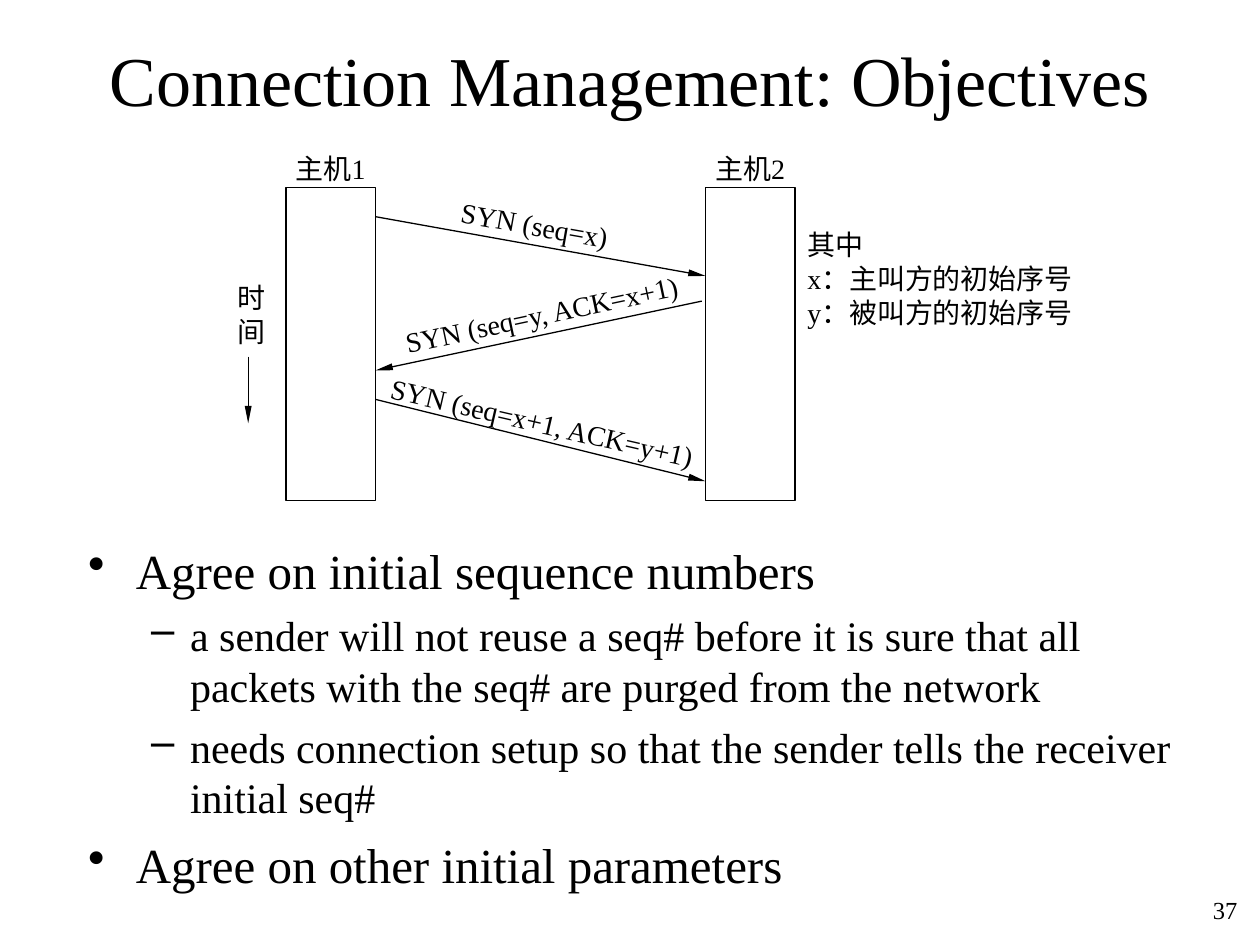
from lxml.etree import SubElement
from pptx import Presentation
from pptx.dml.color import RGBColor
from pptx.enum.shapes import MSO_CONNECTOR, MSO_SHAPE
from pptx.enum.text import MSO_ANCHOR, PP_ALIGN
from pptx.oxml.ns import qn
from pptx.util import Inches, Pt

FONT = "Times New Roman"
BLACK = "000000"
HOST_TOP, HOST_WIDTH, HOST_HEIGHT = 1.49, 0.71, 2.48
HOST_LEFTS = {"主机1": 2.27, "主机2": 5.6}
LABEL_WIDTH = 1.16
LEFT_EDGE = HOST_LEFTS["主机1"] + HOST_WIDTH
RIGHT_EDGE = HOST_LEFTS["主机2"]

# start, end
ARROWS = [
    ((LEFT_EDGE, 1.72), (RIGHT_EDGE, 2.19)),
    ((5.57, 2.39), (LEFT_EDGE, 2.94)),
    ((LEFT_EDGE, 3.17), (RIGHT_EDGE, 3.82)),
    ((1.97, 2.83), (1.97, 3.36)),
]
# text, box, rotation
MESSAGES = [
    ("SYN (seq=x)", (3.19, 1.6, 2.11, 0.34), 10),
    ("SYN (seq=y, ACK=x+1)", (2.92, 2.31, 2.75, 0.34), 348),
    ("SYN (seq=x+1, ACK=y+1)", (2.86, 3.17, 2.89, 0.34), 13),
]
LEGEND = ["其中", "x：主叫方的初始序号", "y：被叫方的初始序号"]
# level, text
OBJECTIVES = [
    (0, "Agree on initial sequence numbers"),
    (1, "a sender will not reuse a seq# before it is sure that all "
        "packets with the seq# are purged from the network"),
    (1, "needs connection setup so that the sender tells the receiver initial seq#"),
    (0, "Agree on other initial parameters"),
]
LEVELS = [
    {"bullet": "•", "margin": 0.38, "indent": -0.38, "size": 28, "before": 7},
    {"bullet": "–", "margin": 0.81, "indent": -0.31, "size": 24, "before": 6},
]


def color(value):
    return RGBColor.from_string(value)


def format_paragraph(paragraph, size, align):
    paragraph.alignment = align
    for name, value in {"name": FONT, "size": Pt(size)}.items():
        setattr(paragraph.font, name, value)
    paragraph.font.color.rgb = color(BLACK)


def set_title(slide, text, box):
    title = slide.shapes.title
    for name, value in zip(("left", "top", "width", "height"), box):
        setattr(title, name, Inches(value))
    title.text_frame.text = text
    title.text_frame.vertical_anchor = MSO_ANCHOR.MIDDLE
    format_paragraph(title.text_frame.paragraphs[0], 40, PP_ALIGN.CENTER)


def add_text(slide, lines, box, size=16, align=PP_ALIGN.CENTER, rotation=0):
    shape = slide.shapes.add_textbox(*map(Inches, box))
    shape.rotation = rotation
    frame = shape.text_frame
    frame.word_wrap = True
    frame.text = "\n".join(lines)
    for paragraph in frame.paragraphs:
        format_paragraph(paragraph, size, align)
    return shape


def add_bullet(paragraph, level):
    style = LEVELS[level]
    paragraph.level = level
    properties = paragraph._p.get_or_add_pPr()
    properties.set("marL", str(Inches(style["margin"])))
    properties.set("indent", str(Inches(style["indent"])))
    SubElement(properties, qn("a:buChar"), char=style["bullet"])
    format_paragraph(paragraph, style["size"], PP_ALIGN.LEFT)


def add_objectives(slide, box):
    frame = slide.shapes.add_textbox(*map(Inches, box)).text_frame
    frame.word_wrap = True
    frame.text = "\n".join(text for _, text in OBJECTIVES)
    for index, (level, _) in enumerate(OBJECTIVES):
        paragraph = frame.paragraphs[index]
        add_bullet(paragraph, level)
        if index:
            paragraph.space_before = Pt(LEVELS[level]["before"])


def add_host(slide, name, left):
    box = (left, HOST_TOP, HOST_WIDTH, HOST_HEIGHT)
    shape = slide.shapes.add_shape(MSO_SHAPE.RECTANGLE, *map(Inches, box))
    shape.shadow.inherit = False
    shape.fill.background()
    shape.line.color.rgb = color(BLACK)
    shape.line.width = Pt(0.75)
    label_left = left + (HOST_WIDTH - LABEL_WIDTH) / 2
    add_text(slide, [name], (label_left, 1.15, LABEL_WIDTH, 0.31))


def add_arrow(slide, start, end):
    arrow = slide.shapes.add_connector(
        MSO_CONNECTOR.STRAIGHT, *map(Inches, start + end))
    arrow.line.color.rgb = color(BLACK)
    arrow.line.width = Pt(0.75)
    SubElement(arrow.line._get_or_add_ln(), qn("a:tailEnd"),
               type="triangle", w="sm", len="lg")
    SubElement(arrow._element.spPr, qn("a:effectLst"))


def main():
    presentation = Presentation()
    presentation.slide_width = Inches(10)
    presentation.slide_height = Inches(7.5)
    slide = presentation.slides.add_slide(presentation.slide_layouts[5])

    set_title(slide, "Connection Management: Objectives", (0.75, 0, 8.5, 1.25))
    for name, left in HOST_LEFTS.items():
        add_host(slide, name, left)
    for start, end in ARROWS:
        add_arrow(slide, start, end)
    for text, box, rotation in MESSAGES:
        add_text(slide, [text], box, rotation=rotation)
    add_text(slide, ["时间"], (1.79, 2.18, 0.6, 0.57), align=PP_ALIGN.JUSTIFY)
    add_text(slide, LEGEND, (6.31, 1.76, 2.44, 0.99), align=PP_ALIGN.JUSTIFY)
    add_objectives(slide, (0.6, 4.24, 9.09, 2.97))
    add_text(slide, ["37"], (9.46, 7.05, 0.46, 0.38), 14, PP_ALIGN.RIGHT)

    presentation.save("out.pptx")


if __name__ == "__main__":
    main()
